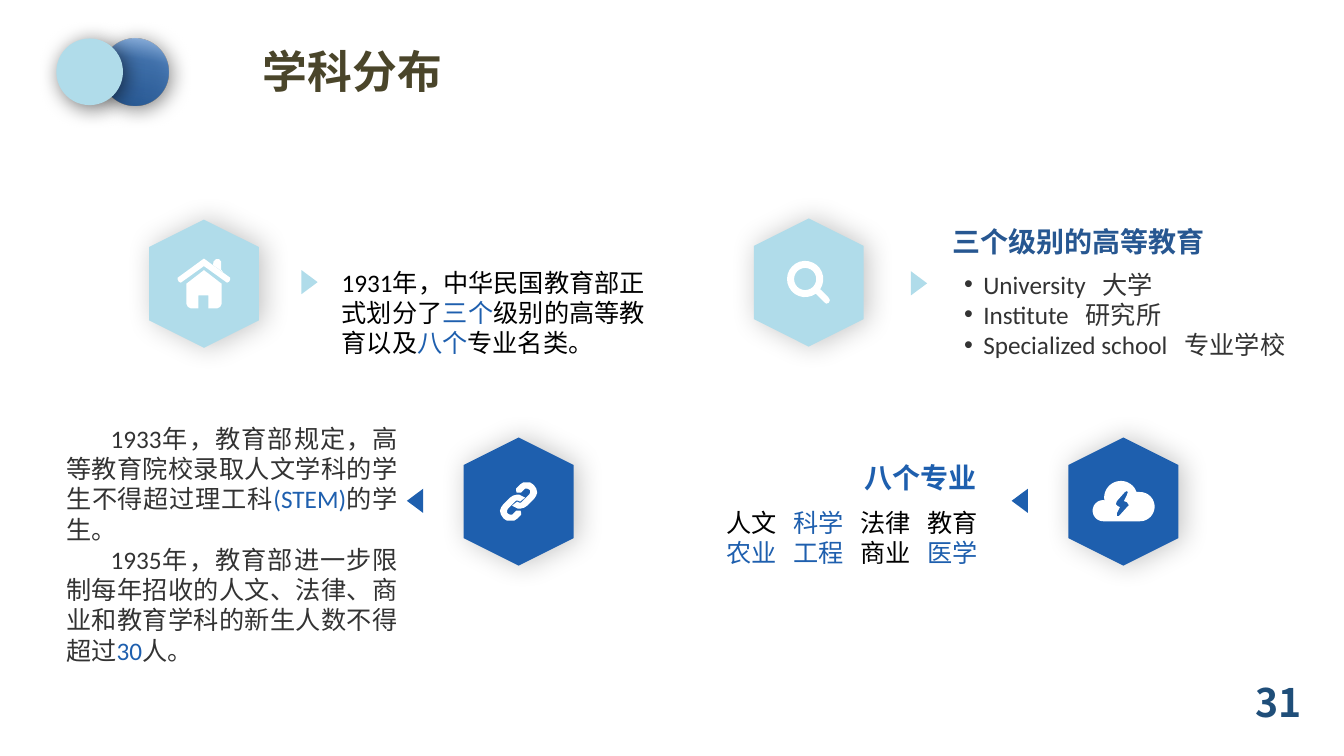
from dataclasses import dataclass
from math import cos, radians, sin

from lxml import etree
from pptx import Presentation
from pptx import util as u
from pptx.dml.color import RGBColor
from pptx.enum import shapes, text
from pptx.oxml import ns

PALE = RGBColor(0xB0, 0xDC, 0xEA)
BLUE = RGBColor(0x1E, 0x5F, 0xAE)
NAVY = RGBColor(0x27, 0x57, 0x91)
DEEP = RGBColor(0x1F, 0x4E, 0x79)
OLIVE = RGBColor(0x4A, 0x45, 0x2A)
GREY = RGBColor(0x33, 0x33, 0x33)
BLACK = RGBColor(0, 0, 0)
WHITE = RGBColor(0xFF, 0xFF, 0xFF)

BODY = "Calibri"
HEAD = "Noto Sans CJK SC"
LEFT, CENTER = text.PP_ALIGN.LEFT, text.PP_ALIGN.CENTER
RIGHT, JUSTIFY = text.PP_ALIGN.RIGHT, text.PP_ALIGN.JUSTIFY

Contour = list[tuple[float, float]]
Line = list[tuple[str, RGBColor]]

GAP = ("　", BLACK)
GAP_SIZE = 12


@dataclass
class Shadow:
    alpha: int
    blur: float
    distance: float
    angle: int


@dataclass
class Badge:
    x: float
    y: float
    color: RGBColor
    icon: list[list[Contour]]


@dataclass
class Pointer:
    x: float
    y: float
    color: RGBColor
    rotation: int


@dataclass
class TextBlock:
    left: float
    top: float
    width: float
    height: float
    lines: list[Line]
    size: int = 18
    font: str = BODY
    bold: bool = False
    align: text.PP_ALIGN = JUSTIFY
    wrap: bool = True
    indent: float = 0
    bullet: str = ""


def arc(x: float, y: float, radius: float, start: int, end: int) -> Contour:
    angles = [radians(start + (end - start) * step / 24) for step in range(25)]
    return [(x + radius * cos(a), y + radius * sin(a)) for a in angles]


HOUSE = [
    [[(0, -13.5), (-17.5, 0), (-17.5, 20), (-16, 23), (-13, 24.5), (-5.5, 24.5), (-5.5, 11.5),
      (4.5, 11.5), (4.5, 24.5), (13, 24.5), (16, 23), (17.5, 20), (17.5, 0)]],
    [[(0, -25), (26, -6), (26, -4), (25, -2), (23, -1), (0, -17.5),
      (-23, -1), (-25, -2), (-26, -4), (-26, -6)]],
    [[(9.5, -22), (12, -24.5), (15, -24.5), (17, -22), (17, -14), (19, -11.5), (9, -18.5)]],
]
LENS = [[
    arc(-3.5, -3.5, 18, 54, 394)
    + [(19.5, 14.5), (21, 17.5), (20, 20), (17.5, 21), (15.5, 19.5)],
    arc(-3.5, -3.5, 11, 0, 360),
]]
CLOUD = [[
    arc(-20, 9, 10.5, 90, 270) + arc(-2.5, -4, 16.5, 170, 340) + arc(16.5, 5, 14.5, 270, 450),
    [(1.5, -9.5), (3.5, -10.5), (4.5, -9.5), (3.5, -6.5), (0.5, -0.5), (3.5, 0.5), (5.5, 3.5),
     (4.5, 4.5), (-4.5, 14.5), (-6.5, 14.5), (-6.5, 11.5), (-3.5, 5.5), (-5.5, 4.5),
     (-7.5, 2.5), (-6.5, -0.5)],
]]
LOOP = [(-1.5, -7), (0.5, -7), (4.5, -5), (6.5, -4), (1.5, 0), (-0.5, -1), (-2.5, -1),
        (-3.5, 0), (-10.5, 7), (-11.5, 9), (-11.5, 11), (-10.5, 12), (-8.5, 13), (-6.5, 13),
        (-5.5, 12), (-2.5, 9), (-0.5, 9), (2, 9), (2.5, 11), (2.5, 13), (-1.5, 17),
        (-4.5, 19), (-7.5, 19), (-11.5, 19), (-14.5, 17), (-15.5, 16), (-17.5, 13),
        (-18.5, 9), (-17.5, 6), (-15.5, 3), (-8.5, -4), (-5.5, -6)]
CHAIN = [[LOOP, [(-x, -y) for x, y in LOOP]]]

POINTERS = [
    Pointer(7.8, 7.11, PALE, 90),
    Pointer(23.16, 7.14, PALE, 90),
    Pointer(25.7, 12.62, BLUE, 270),
    Pointer(10.46, 12.62, BLUE, 270),
]
BADGES = [
    Badge(5.14, 7.15, PALE, HOUSE),
    Badge(20.38, 7.12, PALE, LENS),
    Badge(28.31, 12.64, BLUE, CLOUD),
    Badge(13.07, 12.64, BLUE, CHAIN),
]
BLOCKS = [
    TextBlock(8.36, 6.6, 8.15, 2.57, [[
        ("1931年，中华民国教育部正式划分了", BLACK), ("三个", BLUE),
        ("级别的高等教育以及", BLACK), ("八个", BLUE), ("专业名类。", BLACK)]]),
    TextBlock(23.75, 5.54, 6.93, 1.12, [[("三个级别的高等教育", NAVY)]],
              20, HEAD, True, wrap=False),
    TextBlock(24.05, 6.65, 9, 2.57, [
        [("University", GREY), GAP, ("大学", GREY)],
        [("Institute", GREY), GAP, ("研究所", GREY)],
        [("Specialized school", GREY), GAP, ("专业学校", GREY)]],
        align=LEFT, indent=-0.48, bullet="•"),
    TextBlock(1.42, 10.54, 8.86, 6.4, [
        [("1933年，教育部规定，高等教育院校录取人文学科的学生不得超过理工科", GREY),
         ("(STEM)", BLUE), ("的学生。", GREY)],
        [("1935年，教育部进一步限制每年招收的人文、法律、商业和教育学科的新生人数不得超过", GREY),
         ("30", BLUE), ("人。", GREY)]], indent=1.12),
    TextBlock(21.54, 11.48, 3.35, 1.12, [[("八个专业", BLUE)]], 20, HEAD, True, wrap=False),
    TextBlock(17.86, 12.65, 7.04, 1.8, [
        [("人文", BLACK), GAP, ("科学", BLUE), GAP, ("法律", BLACK), GAP, ("教育", BLACK)],
        [("农业", BLUE), GAP, ("工程", BLUE), GAP, ("商业", BLACK), GAP, ("医学", BLUE)]],
        align=RIGHT),
    TextBlock(4.06, 0.97, 9.65, 1.63, [[("学科分布", OLIVE)]], 32, HEAD, True, CENTER),
    TextBlock(30.58, 16.97, 3.28, 1.45, [[("31", DEEP)]], 28, HEAD, True, CENTER),
]


def add(parent, tag: str, **attributes):
    values = {key: str(value) for key, value in attributes.items()}
    return etree.SubElement(parent, ns.qn(tag), values)


def add_plain(page, kind, x: float, y: float, width: float, height: float, color: RGBColor):
    shape = page.shapes.add_shape(kind, u.Cm(x - width / 2), u.Cm(y - height / 2),
                                  u.Cm(width), u.Cm(height))
    paint(shape, color)
    return shape


def paint(shape, color: RGBColor) -> None:
    shape.shadow.inherit = False
    shape.fill.solid()
    shape.fill.fore_color.rgb = color
    shape.line.fill.background()


def cast(shape, shadow: Shadow) -> None:
    effects = shape._element.spPr.find(ns.qn("a:effectLst"))
    outer = add(effects, "a:outerShdw", blurRad=u.Pt(shadow.blur), dist=u.Pt(shadow.distance),
                dir=shadow.angle * 60000, algn="ctr", rotWithShape=0)
    add(add(outer, "a:srgbClr", val=BLACK), "a:alpha", val=shadow.alpha * 1000)


def add_badge(page, badge: Badge) -> None:
    hexagon = add_plain(page, shapes.MSO_SHAPE.HEXAGON, badge.x, badge.y, 3.23, 2.77, badge.color)
    hexagon.rotation = 90
    cast(hexagon, Shadow(24, 20, 3, 0))
    for part in badge.icon:
        outlines = [[(x * 10, y * 10) for x, y in contour] for contour in part]
        builder = page.shapes.build_freeform(*outlines[0][0], scale=u.Cm(0.00254))
        builder.add_line_segments(outlines[0][1:])
        for outline in outlines[1:]:
            builder.move_to(*outline[0])
            builder.add_line_segments(outline[1:])
        paint(builder.convert_to_shape(u.Cm(badge.x), u.Cm(badge.y)), WHITE)


def add_text(page, block: TextBlock) -> None:
    box = page.shapes.add_textbox(u.Cm(block.left), u.Cm(block.top),
                                  u.Cm(block.width), u.Cm(block.height))
    frame = box.text_frame
    frame.word_wrap = block.wrap
    frame.auto_size = text.MSO_AUTO_SIZE.SHAPE_TO_FIT_TEXT
    for index, line in enumerate(block.lines):
        para = frame.add_paragraph() if index else frame.paragraphs[0]
        para.alignment = block.align
        properties = para._p.get_or_add_pPr()
        properties.set("marL", str(u.Cm(max(-block.indent, 0))))
        properties.set("indent", str(u.Cm(block.indent)))
        if block.bullet:
            add(properties, "a:buFont", typeface="Arial")
            add(properties, "a:buChar", char=block.bullet)
        for words, color in line:
            span = para.add_run()
            span.text = words
            span.font.size = u.Pt(GAP_SIZE if (words, color) == GAP else block.size)
            span.font.bold = block.bold
            span.font.color.rgb = color
            span.font.name = block.font
            add(span._r.get_or_add_rPr(), "a:ea", typeface=HEAD)


def add_discs(page) -> None:
    for x, color in ((3.4, BLUE), (2.26, PALE)):
        disc = add_plain(page, shapes.MSO_SHAPE.OVAL, x, 1.81, 1.68, 1.68, color)
        cast(disc, Shadow(55, 15, 3, 45))
        if color == BLUE:
            solid = disc._element.spPr.find(ns.qn("a:solidFill"))
            gradient = etree.Element(ns.qn("a:gradFill"), rotWithShape="1")
            stops = add(gradient, "a:gsLst")
            for place, shade, alpha in ((0, "8FB4E1", 90), (33, "306BB2", 81), (100, NAVY, 100)):
                stop = add(add(stops, "a:gs", pos=place * 1000), "a:srgbClr", val=shade)
                add(stop, "a:alpha", val=alpha * 1000)
            add(gradient, "a:lin", ang=100 * 60000, scaled=0)
            disc._element.spPr.replace(solid, gradient)


def main() -> None:
    deck = Presentation()
    deck.slide_width, deck.slide_height = u.Cm(33.87), u.Cm(19.05)
    page = deck.slides.add_slide(deck.slide_layouts[6])
    for pointer in POINTERS:
        triangle = add_plain(page, shapes.MSO_SHAPE.ISOSCELES_TRIANGLE,
                             pointer.x, pointer.y, 0.61, 0.41, pointer.color)
        triangle.rotation = pointer.rotation
    for badge in BADGES:
        add_badge(page, badge)
    for block in BLOCKS:
        add_text(page, block)
    add_discs(page)
    deck.save("out.pptx")


if __name__ == "__main__":
    main()
